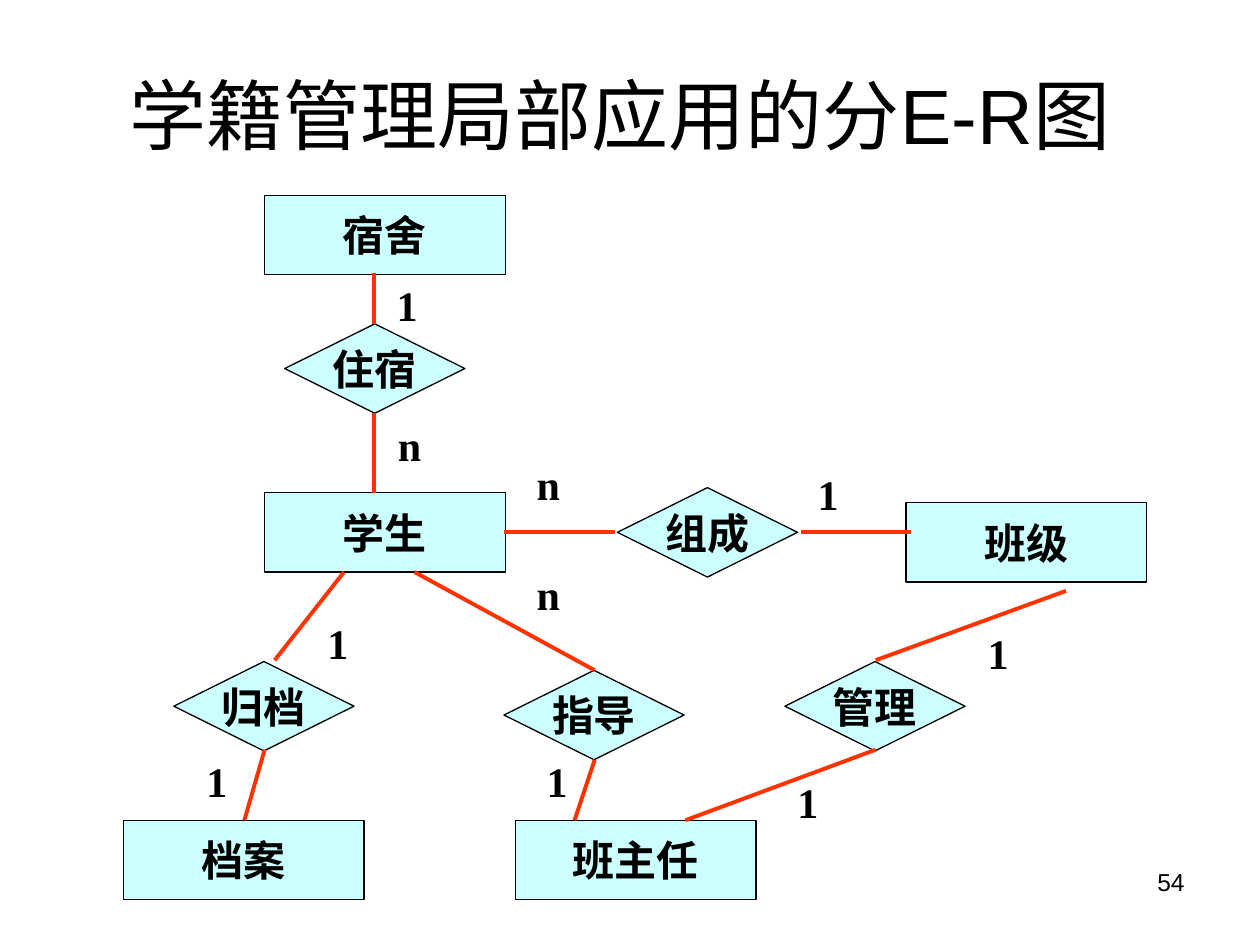
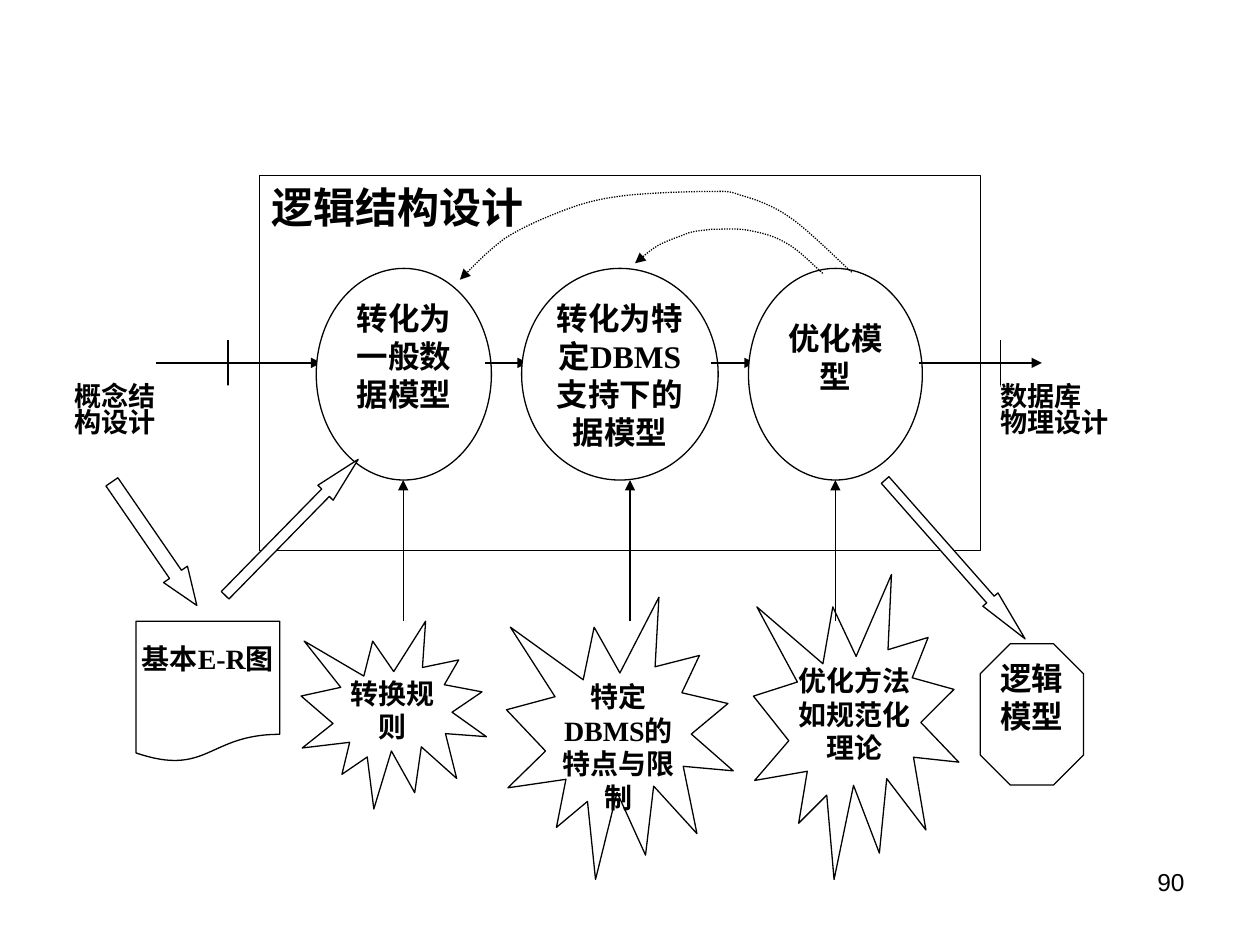
from itertools import pairwise
from typing import NamedTuple

from lxml.etree import SubElement
from pptx import Presentation
from pptx.dml.color import RGBColor
from pptx.enum.dml import MSO_LINE
from pptx.enum.shapes import MSO_CONNECTOR, MSO_SHAPE as Preset
from pptx.enum.text import MSO_ANCHOR as Anchor, MSO_AUTO_SIZE as AutoSize, PP_ALIGN as Align
from pptx.oxml.ns import qn
from pptx.util import Inches, Pt

BLACK = RGBColor(0x00, 0x00, 0x00)
WHITE = RGBColor(0xFF, 0xFF, 0xFF)
CYAN = RGBColor(0xCC, 0xFF, 0xFF)
RED = RGBColor(0xFF, 0x33, 0x00)
SERIF, SANS = "Times New Roman", "Arial"
THIN, THICK = 0.75, 2.25
ENTITY_SIZE = (1.91, 0.63)
RELATION_SIZE = (1.43, 0.71)
FLOW_Y, STEP_TOP, STEP_HEIGHT = 2.88, 2.13, 1.68
STEP_BOTTOM = STEP_TOP + STEP_HEIGHT
BLANK_LINE = 0.16
CURVE_STEPS = 8

Point = tuple[float, float]


class Box(NamedTuple):
    """Position and size in inches."""
    left: float
    top: float
    width: float
    height: float


class Node(NamedTuple):
    """A named element of the relationship diagram."""
    text: str
    left: float
    top: float


class Link(NamedTuple):
    """A straight line between two points."""
    start: Point
    end: Point


class Step(NamedTuple):
    """A design step and the arrow that leads to it."""
    text: str
    left: float
    width: float
    arrow_start: float
    arrow_end: float
    inset_top: float = 0


class Burst(NamedTuple):
    """A rule that feeds a design step from below."""
    text: str
    box: Box
    arrow_x: float


class BlockArrow(NamedTuple):
    """A rotated block arrow."""
    box: Box
    rotation: float
    head: float


ENTITIES = [
    Node("学生", 2.1, 3.91),
    Node("宿舍", 2.1, 1.55),
    Node("班主任", 4.09, 6.51),
    Node("班级", 7.19, 3.99),
    Node("档案", 0.98, 6.51),
]
RELATIONS = [
    Node("住宿", 2.26, 2.57),
    Node("组成", 4.9, 3.87),
    Node("指导", 4, 5.32),
    Node("归档", 1.38, 5.25),
    Node("管理", 6.23, 5.25),
]
LINKS = [
    Link((2.1, 5.95), (1.94, 6.51)),
    Link((2.73, 4.54), (2.18, 5.24)),
    Link((3.29, 4.54), (4.72, 5.32)),
    Link((4.72, 6.03), (4.56, 6.51)),
    Link((2.97, 2.17), (2.97, 2.57)),
    Link((2.97, 3.28), (2.97, 3.91)),
    Link((4, 4.22), (4.88, 4.22)),
    Link((6.36, 4.22), (7.23, 4.22)),
    Link((6.95, 5.95), (5.44, 6.51)),
    Link((8.46, 4.69), (6.95, 5.24)),
]
CARDINALITIES = [
    Node("1", 3.05, 2.17),
    Node("n", 3.05, 3.28),
    Node("n", 4.16, 3.59),
    Node("1", 6.39, 3.67),
    Node("1", 7.74, 4.93),
    Node("1", 6.23, 6.11),
    Node("n", 4.16, 4.46),
    Node("1", 4.24, 5.95),
    Node("1", 2.5, 4.85),
    Node("1", 1.54, 5.95),
]
STEPS = [
    Step("转化为一般数据模型", 2.51, 1.39, 1.24, 2.55),
    Step("转化为特定DBMS支持下的据模型", 4.14, 1.56, 3.85, 4.19),
    Step("优化模型", 5.94, 1.38, 5.64, 5.99, BLANK_LINE),
]
BURSTS = [
    Burst("转换规则", Box(2.39, 4.93, 1.47, 1.49), 3.2),
    Burst("特定DBMS的特点与限制", Box(4.02, 4.74, 1.8, 2.24), 5),
    Burst("优化方法如规范化理论", Box(5.98, 4.56, 1.63, 2.42), 6.63),
]
BLOCK_ARROWS = [
    BlockArrow(Box(0.63, 4.2, 1.19, 0.23), 55.5, 1.3),
    BlockArrow(Box(6.74, 4.36, 1.68, 0.16), 48.6, 2.6),
    BlockArrow(Box(1.56, 4.1, 1.51, 0.17), 314.4, 2.18),
]
FEEDBACK_CURVES: list[list[Point]] = [
    [(6.53, 2.17), (6.48, 2.13), (6.34, 1.98), (6.24, 1.93),
     (6.14, 1.87), (6.05, 1.85), (5.95, 1.83),
     (5.86, 1.81), (5.74, 1.82), (5.65, 1.82),
     (5.57, 1.83), (5.53, 1.83), (5.46, 1.85),
     (5.39, 1.88), (5.29, 1.91), (5.22, 1.95),
     (5.15, 1.99), (5.08, 2.06), (5.04, 2.09)],
    [(6.76, 2.16), (6.68, 2.09), (6.43, 1.84), (6.29, 1.74),
     (6.14, 1.63), (5.99, 1.58), (5.88, 1.55),
     (5.77, 1.51), (5.77, 1.52), (5.62, 1.52),
     (5.47, 1.52), (5.17, 1.53), (4.98, 1.55),
     (4.8, 1.57), (4.66, 1.6), (4.5, 1.66),
     (4.34, 1.72), (4.15, 1.8), (4.01, 1.89),
     (3.87, 1.99), (3.72, 2.15), (3.65, 2.22)],
]


def write_text(shape, text: str, *, size: float, font: str = SERIF, bold: bool = True,
               align=Align.CENTER, anchor=Anchor.TOP, wrap: bool = True,
               insets: Point = (0, 0), inset_top: float | None = None,
               spacing: float | None = None) -> None:
    """Fill a shape with formatted text, one paragraph per line."""
    frame = shape.text_frame
    frame.word_wrap = wrap
    frame.vertical_anchor = anchor
    frame.margin_left = frame.margin_right = Inches(insets[0])
    frame.margin_bottom = Inches(insets[1])
    frame.margin_top = Inches(insets[1] if inset_top is None else inset_top)
    frame.text = text
    for paragraph in frame.paragraphs:
        paragraph.alignment = align
        paragraph.line_spacing = spacing
        paragraph.font.size = Pt(size)
        paragraph.font.name = font
        paragraph.font.bold = bold
        paragraph.font.color.rgb = BLACK


def add_text(slide, box: Box, text: str, **text_format):
    """Add a text box."""
    shape = slide.shapes.add_textbox(*map(Inches, box))
    write_text(shape, text, **{"insets": (0.1, 0.05), **text_format})
    return shape


def set_line(shape, color: RGBColor = BLACK, width: float = THIN) -> None:
    """Set the colour and width of an outline."""
    shape.line.color.rgb = color
    shape.line.width = Pt(width)


def add_arrowhead(shape) -> None:
    """Put a triangle at the end of a line."""
    SubElement(shape.element.spPr.find(qn("a:ln")), qn("a:tailEnd"), type="triangle")


def add_shape(slide, preset, box: Box, fill: RGBColor = WHITE, outlined: bool = True):
    """Add a flat preset shape."""
    shape = slide.shapes.add_shape(preset, *map(Inches, box))
    shape.shadow.inherit = False
    shape.fill.solid()
    shape.fill.fore_color.rgb = fill
    if outlined:
        set_line(shape)
    else:
        shape.line.fill.background()
    return shape


def add_line(slide, link: Link, color: RGBColor = BLACK, width: float = THIN,
             arrow: bool = False) -> None:
    """Add a straight line, with an arrowhead on request."""
    ends = map(Inches, (*link.start, *link.end))
    connector = slide.shapes.add_connector(MSO_CONNECTOR.STRAIGHT, *ends)
    set_line(connector, color, width)
    if arrow:
        add_arrowhead(connector)
    SubElement(connector.element.spPr, qn("a:effectLst"))


def bezier_points(controls: list[Point]) -> list[Point]:
    """Sample a chain of cubic curves."""
    points = [controls[0]]
    for first, last in pairwise(range(0, len(controls), 3)):
        piece = controls[first:last + 1]
        for step in range(1, CURVE_STEPS + 1):
            t = step / CURVE_STEPS
            weights = ((1 - t) ** 3, 3 * t * (1 - t) ** 2, 3 * t * t * (1 - t), t ** 3)
            points.append(tuple(sum(w * p[axis] for w, p in zip(weights, piece))
                                for axis in (0, 1)))
    return points


def add_feedback_curve(slide, controls: list[Point]) -> None:
    """Add a dotted curve that ends in an arrowhead."""
    start, *rest = [(Inches(x), Inches(y)) for x, y in bezier_points(controls)]
    builder = slide.shapes.build_freeform(*start)
    builder.add_line_segments(rest, close=False)
    curve = builder.convert_to_shape()
    curve.shadow.inherit = False
    curve.fill.background()
    set_line(curve)
    curve.line.dash_style = MSO_LINE.ROUND_DOT
    add_arrowhead(curve)


def add_numbered_slide(presentation, number: int):
    """Add a blank slide with its page number."""
    slide = presentation.slides.add_slide(presentation.slide_layouts[6])
    add_text(slide, Box(7.17, 6.83, 2.33, 0.52), str(number), size=14, font=SANS,
             bold=False, align=Align.RIGHT)
    return slide


def build_student_diagram(presentation) -> None:
    """Build the entity-relationship diagram of student records."""
    slide = add_numbered_slide(presentation, 54)
    add_text(slide, Box(0.67, 0.28, 8.5, 1.25), "学籍管理局部应用的分E-R图", size=44,
             font=SANS, bold=False, anchor=Anchor.MIDDLE)
    for preset, size, nodes in ((Preset.RECTANGLE, ENTITY_SIZE, ENTITIES),
                                (Preset.FLOWCHART_DECISION, RELATION_SIZE, RELATIONS)):
        for node in nodes:
            shape = add_shape(slide, preset, Box(node.left, node.top, *size), CYAN)
            write_text(shape, node.text, size=24, anchor=Anchor.MIDDLE, wrap=False,
                       insets=(0.1, 0.05))
    for link in LINKS:
        add_line(slide, link, RED, THICK)
    for node in CARDINALITIES:
        width = 0.4 if node == CARDINALITIES[1] else 0.32
        label = add_text(slide, Box(node.left, node.top, width, 0.5), node.text, size=24)
        label.text_frame.auto_size = AutoSize.SHAPE_TO_FIT_TEXT


def build_logical_design(presentation) -> None:
    """Build the flow of the logical design steps."""
    slide = add_numbered_slide(presentation, 90)
    stage = add_shape(slide, Preset.RECTANGLE, Box(2.06, 1.39, 5.72, 2.98))
    write_text(stage, "逻辑结构设计", size=24, align=Align.JUSTIFY, insets=(0.1, 0.05))
    for step in STEPS:
        add_line(slide, Link((step.arrow_start, FLOW_Y), (step.arrow_end, FLOW_Y)), arrow=True)
        oval = add_shape(slide, Preset.OVAL, Box(step.left, STEP_TOP, step.width, STEP_HEIGHT))
        write_text(oval, step.text, size=18, inset_top=step.inset_top)
    add_line(slide, Link((7.29, FLOW_Y), (8.27, FLOW_Y)), arrow=True)
    for x in (7.94, 1.81):
        add_line(slide, Link((x, 2.7), (x, 3.07)))
    for text, left, width in (("概念结\n构设计", 0.59, 1.31), ("数据库\n物理设计", 7.94, 1.47)):
        caption = add_shape(slide, Preset.RECTANGLE, Box(left, 3.06, width, 0.56), outlined=False)
        write_text(caption, text, size=15.5, align=Align.JUSTIFY, spacing=0.8)
    document = add_shape(slide, Preset.FLOWCHART_DOCUMENT, Box(1.08, 4.93, 1.14, 1.12))
    write_text(document, "基本E-R图", size=16, inset_top=BLANK_LINE)
    for burst in BURSTS:
        seal = add_shape(slide, Preset.EXPLOSION1, burst.box)
        write_text(seal, burst.text, size=16)
        add_line(slide, Link((burst.arrow_x, 4.93), (burst.arrow_x, STEP_BOTTOM)), arrow=True)
    model = add_shape(slide, Preset.OCTAGON, Box(7.78, 5.11, 0.82, 1.12))
    model.adjustments[0] = 0.29
    write_text(model, "逻辑\n模型", size=18)
    for block_arrow in BLOCK_ARROWS:
        shape = add_shape(slide, Preset.RIGHT_ARROW, block_arrow.box)
        shape.rotation = block_arrow.rotation
        shape.adjustments[1] = block_arrow.head
    for controls in FEEDBACK_CURVES:
        add_feedback_curve(slide, controls)


def main() -> None:
    """Build and save the presentation."""
    presentation = Presentation()
    presentation.slide_width, presentation.slide_height = Inches(10), Inches(7.5)
    build_student_diagram(presentation)
    build_logical_design(presentation)
    presentation.save("out.pptx")


if __name__ == "__main__":
    main()
